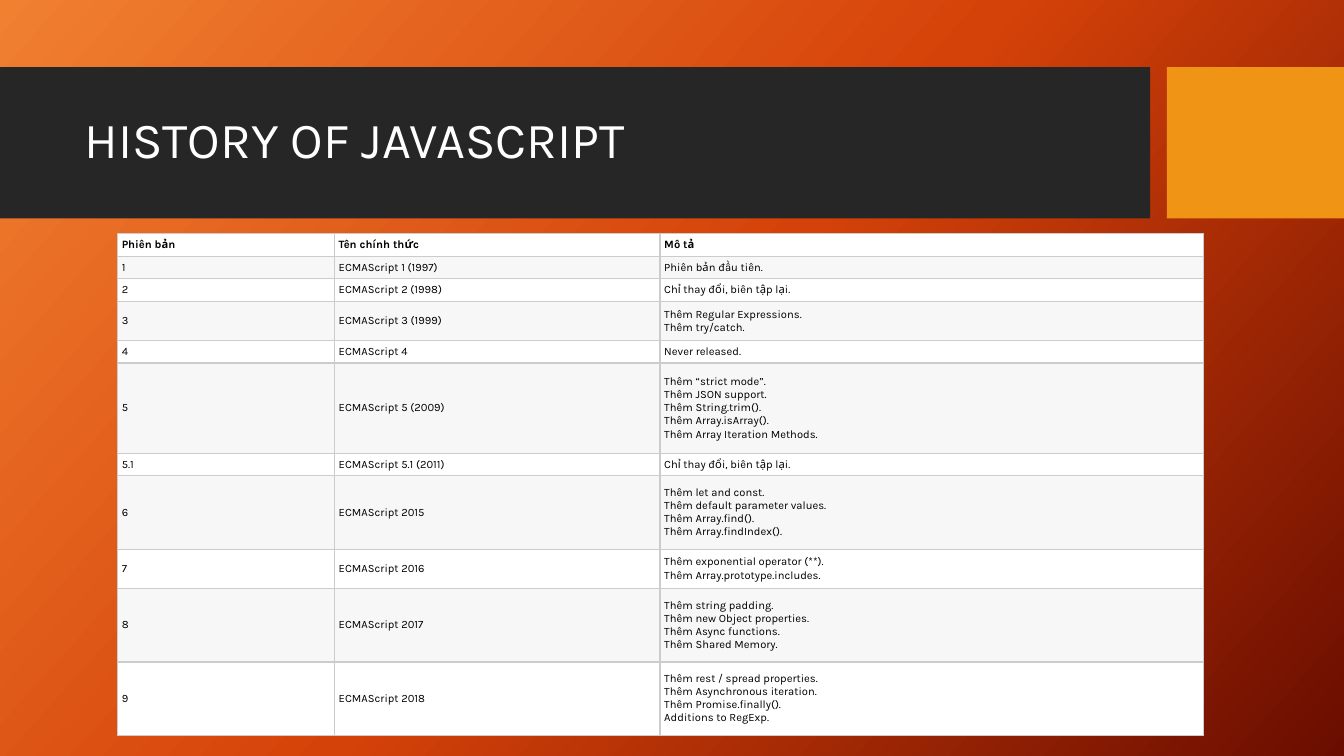
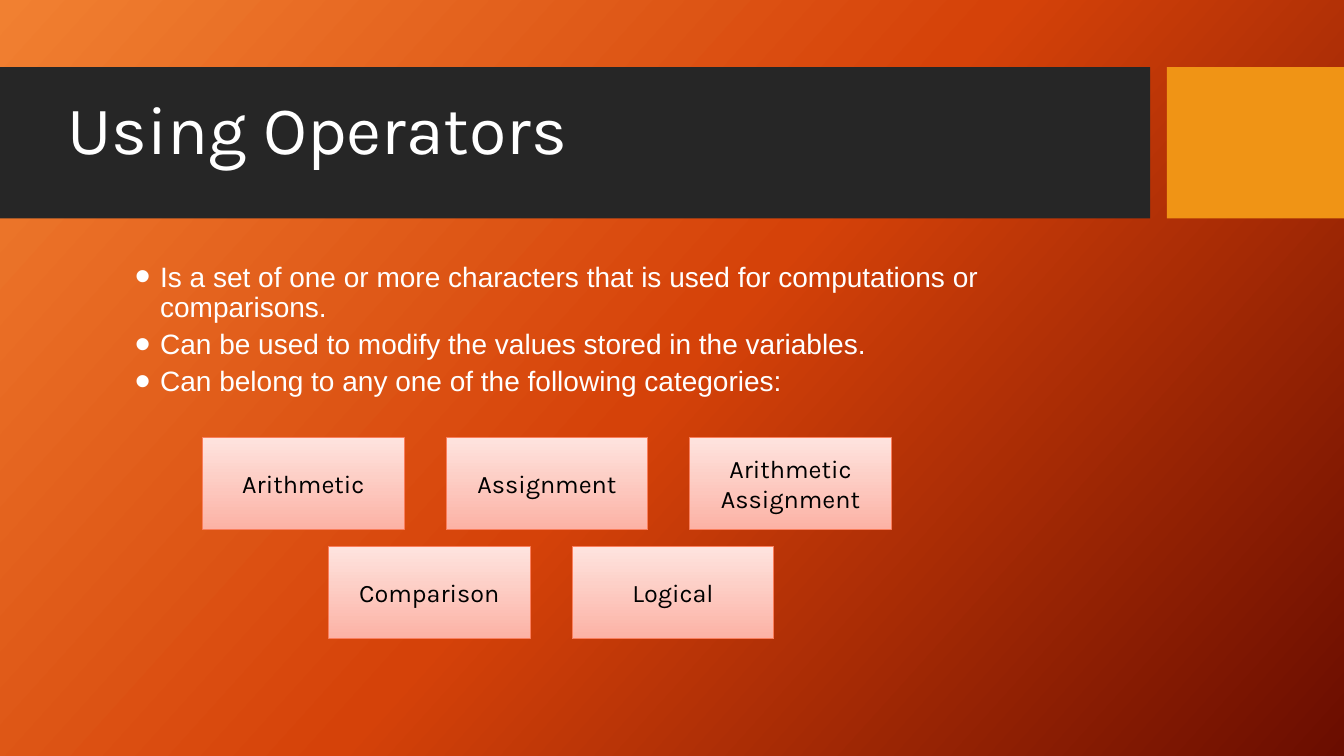
from dataclasses import dataclass
from typing import Any, NamedTuple

from pptx import Presentation, util as u
from pptx.dml import color as dc
from pptx.enum import shapes, text
from pptx.oxml import ns, parse_xml

Pt = u.Pt


@dataclass(frozen=True)
class Theme:
    font: str = "Karla"
    body_font: str = "Arial"
    white: str = "FFFFFF"
    black: str = "000000"
    band: str = "262626"
    accent: str = "F09415"
    stripe: str = "F7F7F7"
    grid: str = "CCCCCC"
    box_line: str = "FA7E5C"
    backdrop: tuple = ((0, "F18031"), (50, "D54209"), (100, "6A0D00"))
    box_fill: tuple = ((0, "FEE4DF"), (100, "FCB2A5"))
    title_size: float = 36
    large_title_size: float = 48.6
    body_size: float = 20
    box_size: float = 18
    table_size: float = 8


T = Theme()


class Box(NamedTuple):
    x: float
    y: float
    w: float
    h: float

    def lengths(self) -> list:
        return [Pt(v) for v in self]


class Version(NamedTuple):
    number: str
    name: str
    notes: str


class BoxRow(NamedTuple):
    x: float
    y: float
    labels: tuple


BAND = Box(0, 48, 821.5, 108)
ACCENT = Box(833.5, 48, 126.5, 108)
TABLE = Box(84, 167, 775.5, 358.4)
COLUMNS = (155, 232.5, 388)
ROW_HEIGHTS = {1: 16.1, 2: 28, 4: 52.5, 5: 64.5}  # by number of lines
HEADER = Version("Phiên bản", "Tên chính thức", "Mô tả")
VERSIONS = (
    Version("1", "ECMAScript 1 (1997)", "Phiên bản đầu tiên."),
    Version("2", "ECMAScript 2 (1998)", "Chỉ thay đổi, biên tập lại."),
    Version("3", "ECMAScript 3 (1999)", "Thêm Regular Expressions.\nThêm try/catch."),
    Version("4", "ECMAScript 4", "Never released."),
    Version("5", "ECMAScript 5 (2009)",
            "Thêm “strict mode”.\nThêm JSON support.\nThêm String.trim().\n"
            "Thêm Array.isArray().\nThêm Array Iteration Methods."),
    Version("5.1", "ECMAScript 5.1 (2011)", "Chỉ thay đổi, biên tập lại."),
    Version("6", "ECMAScript 2015",
            "Thêm let and const.\nThêm default parameter values.\n"
            "Thêm Array.find().\nThêm Array.findIndex()."),
    Version("7", "ECMAScript 2016",
            "Thêm exponential operator (**).\nThêm Array.prototype.includes."),
    Version("8", "ECMAScript 2017",
            "Thêm string padding.\nThêm new Object properties.\n"
            "Thêm Async functions.\nThêm Shared Memory."),
    Version("9", "ECMAScript 2018",
            "Thêm rest / spread properties.\nThêm Asynchronous iteration.\n"
            "Thêm Promise.finally().\nAdditions to RegExp."),
)

BODY = Box(53.3, 184.3, 756.7, 283.7)
POINTS = (
    "Is a set of one or more characters that is used for computations or comparisons.",
    "Can be used to modify the values stored in the variables.",
    "Can belong to any one of the following categories:",
)
BOX_W, BOX_H, BOX_PITCH = 144, 66, 174
CATEGORIES = (
    BoxRow(144.7, 312.3, ("Arithmetic", "Assignment", "Arithmetic Assignment")),
    BoxRow(234.7, 390.3, ("Comparison", "Logical")),
)


def set_attrs(obj: Any, values: dict) -> None:
    for name, value in values.items():
        setattr(obj, name, value)


def rgb(code: str) -> dc.RGBColor:
    return dc.RGBColor.from_string(code)


def fill_solid(fill: Any, code: str) -> None:
    fill.solid()
    fill.fore_color.rgb = rgb(code)


def fill_gradient(fill: Any, element: Any, stops: tuple, angle: float) -> None:
    """Fill with (percent, colour) stops; the angle runs clockwise."""
    fill.gradient()
    fill.gradient_angle = 360 - angle
    gs_list = next(element.iter(ns.qn("a:gsLst")))
    for old in list(gs_list):
        gs_list.remove(old)
    for pos, code in stops:
        gs_list.append(parse_xml(
            f'<a:gs {ns.nsdecls("a")} pos="{pos * 1000}"><a:srgbClr val="{code}"/></a:gs>'))


def write(tf: Any, lines: list, size: float, color: str, font: str = T.font,
          bold: bool = False, **para: Any) -> None:
    """Write one paragraph per line, with the given paragraph attributes."""
    for i, line in enumerate(lines):
        p = tf.add_paragraph() if i else tf.paragraphs[0]
        set_attrs(p, para)
        r = p.add_run()
        r.text = line
        set_attrs(r.font, {"name": font, "size": Pt(size), "bold": bold})
        r.font.color.rgb = rgb(color)


def add_text_box(s: Any, box: Box, anchor: Any) -> Any:
    tf = s.shapes.add_textbox(*box.lengths()).text_frame
    set_attrs(tf, {"word_wrap": True, "vertical_anchor": anchor})
    return tf


def add_band(s: Any, box: Box, color: str) -> None:
    sp = s.shapes.add_shape(shapes.MSO_SHAPE.RECTANGLE, *box.lengths())
    sp.shadow.inherit = False
    fill_solid(sp.fill, color)
    sp.line.fill.background()


def add_slide(prs: Any, title: str, title_box: Box, title_size: float) -> Any:
    s = prs.slides.add_slide(prs.slide_layouts[6])
    fill_gradient(s.background.fill, s.element, T.backdrop, 42)
    add_band(s, BAND, T.band)
    add_band(s, ACCENT, T.accent)
    tf = add_text_box(s, title_box, text.MSO_ANCHOR.MIDDLE)
    write(tf, [title], title_size, T.white, line_spacing=0.9)
    return s


def add_borders(cell: Any) -> None:
    tc_pr = cell._tc.get_or_add_tcPr()
    for i, side in enumerate("LRTB"):
        tc_pr.insert(i, parse_xml(
            f'<a:ln{side} {ns.nsdecls("a")} w="{Pt(1)}"><a:solidFill>'
            f'<a:srgbClr val="{T.grid}"/></a:solidFill></a:ln{side}>'))


def add_version_table(s: Any) -> None:
    rows = (HEADER, *VERSIONS)
    table = s.shapes.add_table(len(rows), len(COLUMNS), *TABLE.lengths()).table
    for column, width in zip(table.columns, COLUMNS):
        column.width = Pt(width)
    cell_format = {
        "vertical_anchor": text.MSO_ANCHOR.MIDDLE,
        "margin_left": Pt(3), "margin_right": Pt(3),
        "margin_top": Pt(1.5), "margin_bottom": Pt(1.5),
    }
    for i, version in enumerate(rows):
        table.rows[i].height = Pt(ROW_HEIGHTS[len(version.notes.split("\n"))])
        for j, value in enumerate(version):
            cell = table.cell(i, j)
            set_attrs(cell, cell_format)
            fill_solid(cell.fill, T.stripe if i % 2 else T.white)
            add_borders(cell)
            write(cell.text_frame, value.split("\n"), T.table_size, T.black, bold=i == 0)


def add_bullets(s: Any) -> None:
    tf = add_text_box(s, BODY, text.MSO_ANCHOR.TOP)
    write(tf, POINTS, T.body_size, T.white, T.body_font,
          level=1, line_spacing=0.9, space_before=Pt(5))
    for p in tf.paragraphs:
        p_pr = p._p.get_or_add_pPr()
        p_pr.set("marL", str(Pt(54)))
        p_pr.set("indent", str(Pt(-18)))
        for tag in ('buSzPct val="160000"', f'buFont typeface="{T.body_font}"', 'buChar char="•"'):
            p_pr.append(parse_xml(f'<a:{tag} {ns.nsdecls("a")}/>'))


def add_category(s: Any, label: str, box: Box) -> None:
    sp = s.shapes.add_shape(shapes.MSO_SHAPE.FLOWCHART_PROCESS, *box.lengths())
    sp.shadow.inherit = False
    fill_gradient(sp.fill, sp.element, T.box_fill, 90)
    sp.line.color.rgb = rgb(T.box_line)
    sp.line.width = Pt(0.75)
    set_attrs(sp.text_frame, {"word_wrap": True, "vertical_anchor": text.MSO_ANCHOR.MIDDLE})
    write(sp.text_frame, [label], T.box_size, T.black, alignment=text.PP_ALIGN.CENTER)


def main() -> None:
    prs = Presentation()
    set_attrs(prs, {"slide_width": Pt(960), "slide_height": Pt(540)})

    s = add_slide(prs, "HISTORY OF JAVASCRIPT", Box(53.3, 59, 756.7, 85), T.title_size)
    add_version_table(s)

    s = add_slide(prs, "Using Operators", Box(41, 52, 756.7, 85), T.large_title_size)
    add_bullets(s)
    for row in CATEGORIES:
        for i, label in enumerate(row.labels):
            add_category(s, label, Box(row.x + i * BOX_PITCH, row.y, BOX_W, BOX_H))

    prs.save("out.pptx")


if __name__ == "__main__":
    main()
